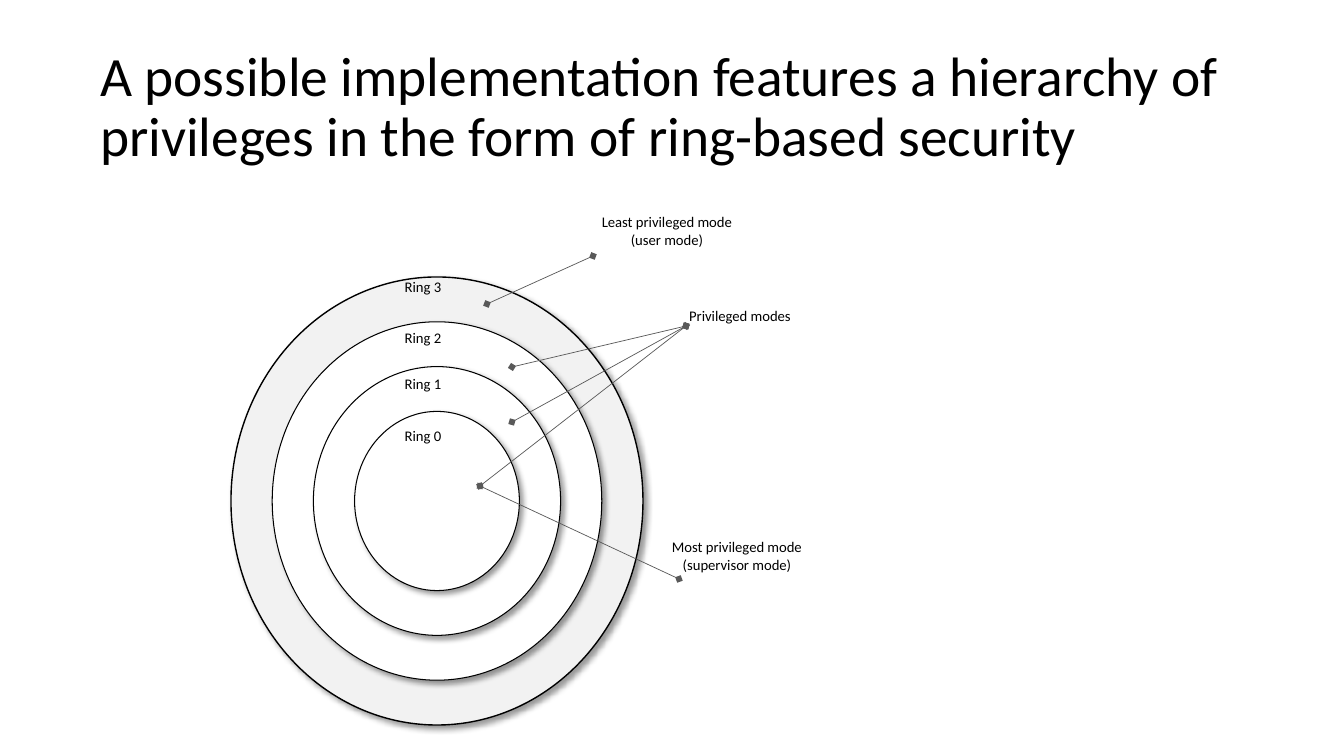
from dataclasses import dataclass
from typing import NamedTuple

from lxml import etree
from pptx import Presentation
from pptx.dml.color import RGBColor
from pptx.enum.shapes import MSO_CONNECTOR, MSO_SHAPE
from pptx.enum.text import MSO_ANCHOR, PP_ALIGN
from pptx.oxml.ns import qn
from pptx.util import Emu, Pt

ELLIPSE = MSO_SHAPE.OVAL
STRAIGHT = MSO_CONNECTOR.STRAIGHT
MIDDLE, TOP = MSO_ANCHOR.MIDDLE, MSO_ANCHOR.TOP
LEFT, CENTER = PP_ALIGN.LEFT, PP_ALIGN.CENTER
EMU_PER_PIXEL = 914400 / 100.8


@dataclass(frozen=True)
class Theme:
    font: str = "Calibri"
    ink: str = "000000"
    leader: str = "595959"
    user_ring: str = "F2F2F2"
    inner_ring: str = "FFFFFF"
    title_size: float = 39.6
    label_size: float = 10.5
    user_outline: float = 1
    inner_outline: float = 0.75
    leader_width: float = 0.5


class Point(NamedTuple):
    x: int
    y: int


class Ring(NamedTuple):
    level: int
    label_top: int
    fill: str
    outline: float


class Label(NamedTuple):
    text: str
    center: int
    top: int
    width: int
    height: int


class Leader(NamedTuple):
    start: Point
    end: Point


THEME = Theme()
RINGS_CENTER = Point(437, 501)
OUTER_WIDTH, OUTER_HEIGHT = 412, 448
RING_LABEL_CENTER = 423

RINGS = [
    Ring(3, 273, THEME.user_ring, THEME.user_outline),
    Ring(2, 324, THEME.inner_ring, THEME.inner_outline),
    Ring(1, 370, THEME.inner_ring, THEME.inner_outline),
    Ring(0, 422, THEME.inner_ring, THEME.inner_outline),
]
MODE_LABELS = [
    Label("Least privileged mode\n(user mode)", 667, 208, 160, 46),
    Label("Privileged modes", 740, 302, 130, 28),
    Label("Most privileged mode\n(supervisor mode)", 737, 533, 160, 46),
]
PRIVILEGED = Point(686, 326)
KERNEL = Point(480, 486)
LEADERS = [
    Leader(Point(487, 304), Point(593, 256)),
    Leader(Point(512, 367), PRIVILEGED),
    Leader(Point(512, 422), PRIVILEGED),
    Leader(KERNEL, PRIVILEGED),
    Leader(KERNEL, Point(679, 579)),
]


def px(pixels: float) -> Emu:
    """Turn pixels into EMU."""
    return Emu(round(pixels * EMU_PER_PIXEL))


def rgb(code: str) -> RGBColor:
    """Turn a hex code into a colour."""
    return RGBColor.from_string(code)


def add_text(slide, text: str, *, left: float, top: float, width: float, height: float,
             size: float, align=LEFT, anchor=TOP, spacing: float = 1.0,
             side_margin: int = 5) -> None:
    """Add a text box with one paragraph per line."""
    frame = slide.shapes.add_textbox(px(left), px(top), px(width), px(height)).text_frame
    frame.word_wrap = True
    frame.vertical_anchor = anchor
    frame.margin_left = frame.margin_right = px(side_margin)
    frame.margin_top = frame.margin_bottom = px(5)
    frame.text = text
    for paragraph in frame.paragraphs:
        paragraph.alignment = align
        paragraph.line_spacing = spacing
        paragraph.font.name = THEME.font
        paragraph.font.size = Pt(size)
        paragraph.font.color.rgb = rgb(THEME.ink)


def add_label(slide, label: Label) -> None:
    """Add a small centred label."""
    add_text(slide, label.text, left=label.center - label.width / 2, top=label.top,
             width=label.width, height=label.height, size=THEME.label_size, align=CENTER)


def add_shadow(shape) -> None:
    """Cast a soft shadow to the lower right."""
    shape.shadow.inherit = False
    effects = shape.element.spPr.find(qn("a:effectLst"))
    shadow = etree.SubElement(effects, qn("a:outerShdw"), blurRad=str(Pt(4)),
                              dist=str(Pt(3)), dir="2700000", algn="tl", rotWithShape="0")
    color = etree.SubElement(shadow, qn("a:srgbClr"), val=THEME.ink)
    etree.SubElement(color, qn("a:alpha"), val="40000")


def add_ring(slide, ring: Ring) -> None:
    """Add one ring, sized in fifths of the outermost."""
    share = (ring.level + 2) / 5
    width, height = OUTER_WIDTH * share, OUTER_HEIGHT * share
    disc = slide.shapes.add_shape(ELLIPSE, px(RINGS_CENTER.x - width / 2),
                                  px(RINGS_CENTER.y - height / 2), px(width), px(height))
    disc.fill.solid()
    disc.fill.fore_color.rgb = rgb(ring.fill)
    disc.line.color.rgb = rgb(THEME.ink)
    disc.line.width = Pt(ring.outline)
    add_shadow(disc)


def add_leader(slide, leader: Leader) -> None:
    """Add a thin line with a diamond at each end."""
    line = slide.shapes.add_connector(STRAIGHT, px(leader.start.x), px(leader.start.y),
                                      px(leader.end.x), px(leader.end.y))
    line.line.color.rgb = rgb(THEME.leader)
    line.line.width = Pt(THEME.leader_width)
    properties = line.element.spPr
    outline = properties.find(qn("a:ln"))
    for end in ("a:headEnd", "a:tailEnd"):
        etree.SubElement(outline, qn(end), type="diamond")
    etree.SubElement(properties, qn("a:effectLst"))


def main() -> None:
    """Build the ring security slide."""
    deck = Presentation()
    deck.slide_width, deck.slide_height = px(1344), px(756)
    slide = deck.slides.add_slide(deck.slide_layouts[6])
    add_text(slide, "A possible implementation features a hierarchy of privileges "
             "in the form of ring-based security", left=90, top=27, width=1154, height=163,
             size=THEME.title_size, anchor=MIDDLE, spacing=0.9, side_margin=10)
    for ring in RINGS:
        add_ring(slide, ring)
    for ring in RINGS:
        add_label(slide, Label(f"Ring {ring.level}", RING_LABEL_CENTER, ring.label_top, 60, 28))
    for leader in LEADERS:
        add_leader(slide, leader)
    for label in MODE_LABELS:
        add_label(slide, label)
    deck.save("out.pptx")


main()
